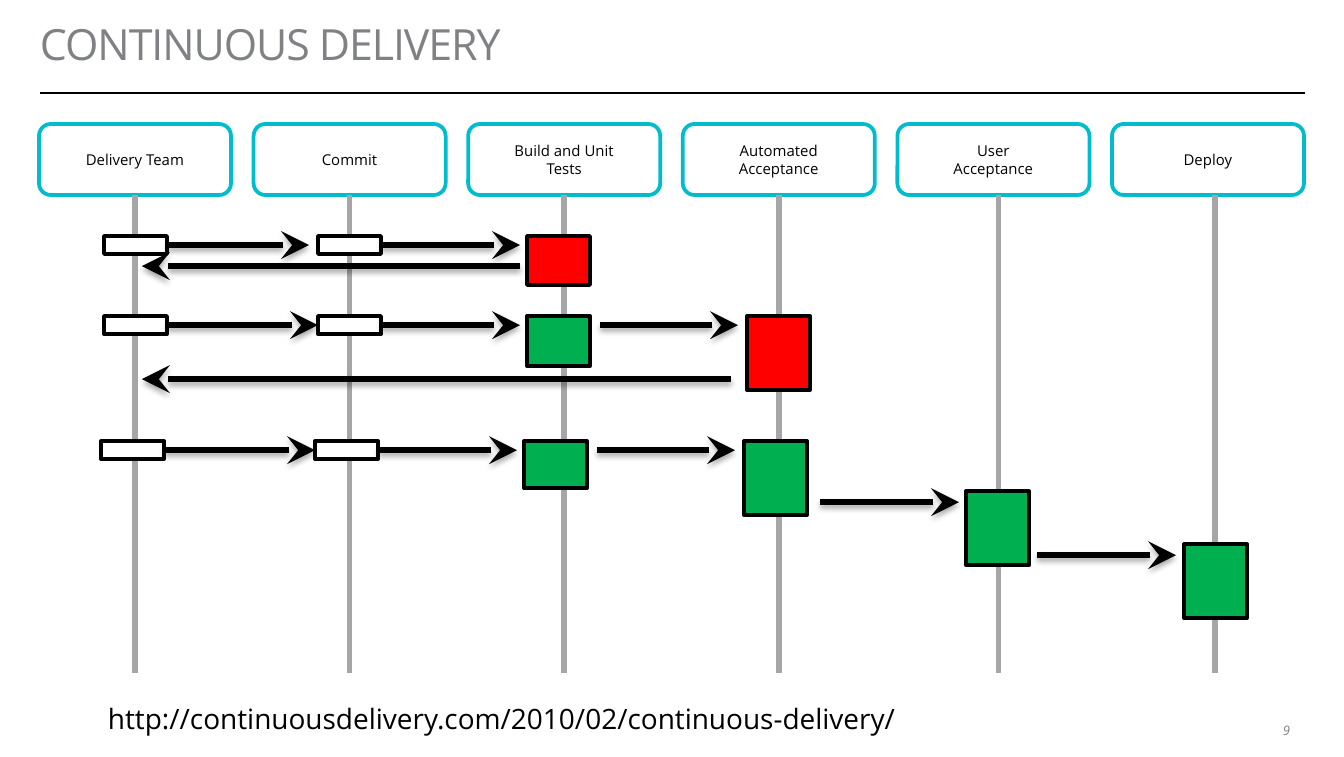
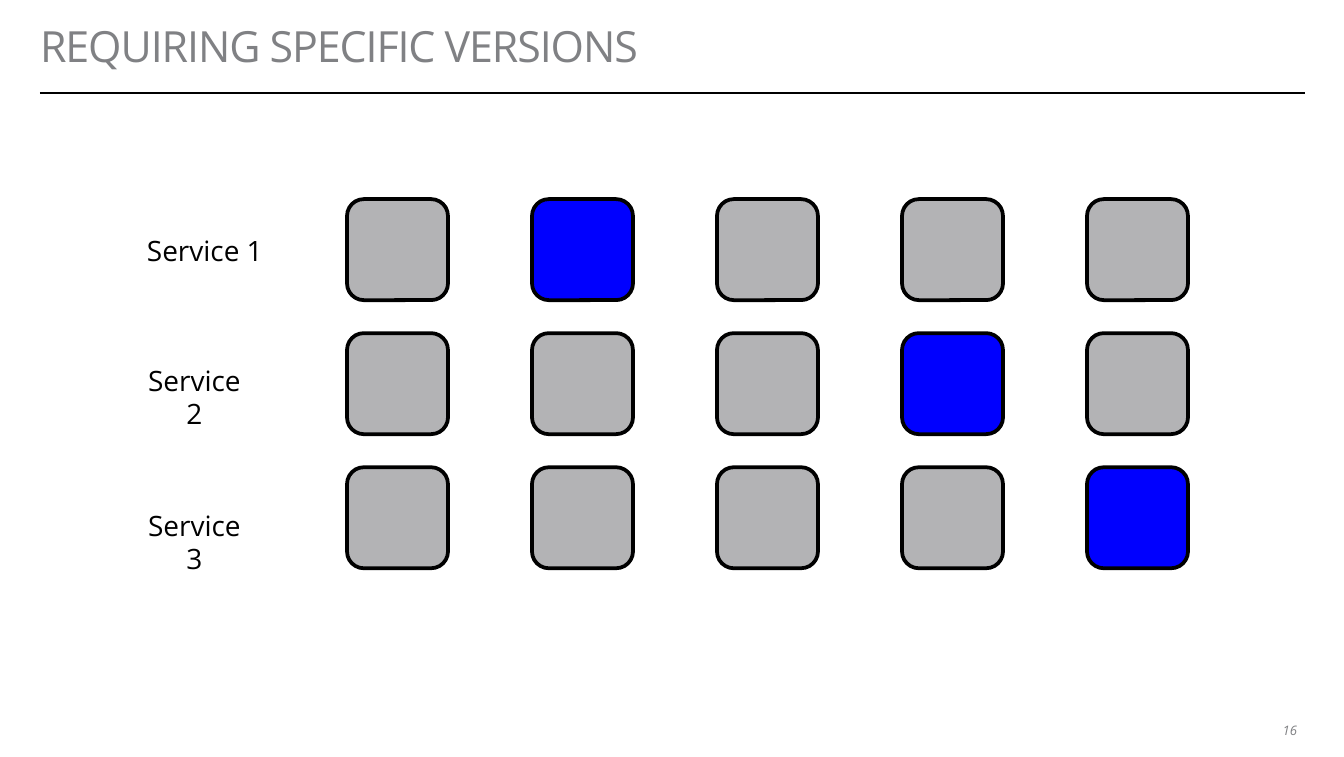
"""Build two slides: a delivery pipeline sequence and a grid of service versions."""
from lxml import etree
from pptx import Presentation
from pptx.dml.color import RGBColor
from pptx.enum.shapes import MSO_CONNECTOR as Connector, MSO_SHAPE as Shape
from pptx.enum.text import MSO_ANCHOR as Anchor, MSO_AUTO_SIZE as AutoSize, PP_ALIGN as Align
from pptx.oxml.ns import qn
from pptx.util import Emu, Inches, Pt

SLIDE_WIDTH, SLIDE_HEIGHT = Inches(10), Inches(5.63)
SCALE = SLIDE_WIDTH / 1344
FONT = "Open Sans"
COLORS = {
    "ink": "000000", "white": "FFFFFF", "title": "808184", "teal": "00BCCD",
    "lifeline": "A6A6A6", "fail": "FF0000", "pass": "00B050",
    "other": "B3B3B5", "required": "0000FF",
}
LINK_INSETS = (8, 4, 8, 4)
NUMBER_INSETS = (0, 4, 8, 4)
TEXT_INSETS = (13, 7, 13, 7)
NARROW_INSETS = (13, 7, 33, 7)
RIGHT, LEFT, BOTTOM = 3, 1, 2

PIPELINE = {"title": "CONTINUOUS DELIVERY", "title_box": (40, 24, 961, 51),
            "number": "9", "number_box": (1277, 718, 21, 20)}
VERSIONS = {"title": "REQUIRING SPECIFIC VERSIONS", "title_box": (40, 24, 1265, 56),
            "number": "16", "number_box": (1277, 718, 28, 23)}

STAGES = [("Delivery Team", 0), ("Commit", 0), ("Build and Unit Tests", 0),
          ("Automated Acceptance", 0), ("User Acceptance", 5), ("Deploy", 7)]
FIRST_STAGE, LAST_STAGE = 39, 1112
STAGE_TOP, STAGE_WIDTH, STAGE_HEIGHT = 124, 192, 71
LIFELINE_END = 673
BAR_WIDTH = 63

BARS = {
    "team 1": (104, 236, 18, "white"), "commit 1": (318, 236, 18, "white"),
    "build 1": (527, 236, 49, "fail"),
    "team 2": (104, 316, 18, "white"), "commit 2": (318, 316, 18, "white"),
    "build 2": (527, 316, 50, "pass"), "automated 2": (747, 316, 74, "fail"),
    "team 3": (101, 441, 18, "white"), "commit 3": (315, 441, 18, "white"),
    "build 3": (524, 441, 47, "pass"), "automated 3": (744, 441, 74, "pass"),
    "user 3": (966, 491, 74, "pass"), "deploy 3": (1184, 544, 74, "pass"),
}
ARROWS = [
    ("team 1", (309, 245)), ("commit 1", (520, 245)), ((520, 266), (142, 266)),
    ("team 2", "commit 2"), ("commit 2", (520, 325)), ((600, 325), (738, 325)),
    ((731, 379), (142, 379)),
    ("team 3", "commit 3"), ("commit 3", (517, 450)), ((597, 450), (735, 450)),
    ((820, 502), (959, 502)), ((1037, 555), (1176, 555)),
]
LINK = "http://continuousdelivery.com/2010/02/continuous-delivery/"

SERVICES = [
    {"label": "Service 1", "box": (134, 226, 202, 47), "align": Align.LEFT,
     "insets": TEXT_INSETS, "required": 1},
    {"label": "Service 2", "box": (134, 356, 141, 47), "align": Align.CENTER,
     "insets": NARROW_INSETS, "required": 3},
    {"label": "Service 3", "box": (134, 501, 141, 47), "align": Align.CENTER,
     "insets": NARROW_INSETS, "required": 4},
]
VERSION_COUNT, VERSION_SIZE = 5, 101
VERSION_LEFT, VERSION_TOP = 347, 199
COLUMN_STEP, ROW_STEP = 185, 134


def px(*lengths):
    return [Emu(round(length * SCALE)) for length in lengths]


def color(name):
    return RGBColor.from_string(COLORS[name])


def write(shape, text, size, align=Align.LEFT, color_name="ink", insets=(0, 0, 0, 0),
          anchor=Anchor.TOP, wrap=True, spacing=None):
    frame = shape.text_frame
    frame.word_wrap = wrap
    frame.vertical_anchor = anchor
    (frame.margin_left, frame.margin_top,
     frame.margin_right, frame.margin_bottom) = px(*insets)
    frame.text = text
    paragraph = frame.paragraphs[0]
    paragraph.alignment = align
    paragraph.line_spacing = spacing
    paragraph.font.name = FONT
    paragraph.font.size = Pt(size)
    paragraph.font.color.rgb = color(color_name)
    return paragraph


def add_text(slide, box, text, size, **style):
    return write(slide.shapes.add_textbox(*px(*box)), text, size, **style)


def add_box(slide, kind, box, fill, line="ink"):
    shape = slide.shapes.add_shape(kind, *px(*box))
    shape.shadow.inherit = False
    shape.fill.solid()
    shape.fill.fore_color.rgb = color(fill)
    shape.line.color.rgb = color(line)
    shape.line.width = Pt(2)
    return shape


def add_line(slide, start, end, width, line="ink"):
    connector = slide.shapes.add_connector(Connector.STRAIGHT, *px(*start, *end))
    connector.line.color.rgb = color(line)
    connector.line.width = Pt(width)
    etree.SubElement(connector._element.spPr, qn("a:effectLst"))
    return connector


def add_arrow(slide, start, end, bars):
    start_point = start if isinstance(start, tuple) else side_middle(start, RIGHT)
    end_point = end if isinstance(end, tuple) else side_middle(end, LEFT)
    arrow = add_line(slide, start_point, end_point, 3)
    if start in bars:
        arrow.begin_connect(bars[start], RIGHT)
    if end in bars:
        arrow.end_connect(bars[end], LEFT)
    properties = arrow._element.spPr
    etree.SubElement(properties.find(qn("a:ln")), qn("a:tailEnd"),
                     type="stealth", w="lg", len="lg")
    shadow = etree.SubElement(properties.find(qn("a:effectLst")), qn("a:outerShdw"),
                              blurRad="40000", dist="23000", dir="5400000", rotWithShape="0")
    shade = etree.SubElement(shadow, qn("a:srgbClr"), val=COLORS["ink"])
    etree.SubElement(shade, qn("a:alpha"), val="35000")


def side_middle(name, side):
    left, top, height, _ = BARS[name]
    return left + (BAR_WIDTH if side == RIGHT else 0), top + height / 2


def add_slide(presentation, page):
    slide = presentation.slides.add_slide(presentation.slide_layouts[6])
    add_line(slide, (40, 93), (1305, 93), 1)
    title = add_text(slide, page["title_box"], page["title"], 23, color_name="title",
                     anchor=Anchor.MIDDLE, spacing=0.7)
    title.runs[0].font._element.set("spc", "-60")
    number = add_text(slide, page["number_box"], page["number"], 7, align=Align.RIGHT,
                      color_name="title", insets=NUMBER_INSETS, wrap=False)
    number.font.italic = True
    return slide


def build_pipeline(presentation):
    slide = add_slide(presentation, PIPELINE)
    step = (LAST_STAGE - FIRST_STAGE) / (len(STAGES) - 1)
    stage_bottom = STAGE_TOP + STAGE_HEIGHT
    for index, (name, lifeline_offset) in enumerate(STAGES):
        left = FIRST_STAGE + index * step
        stage = add_box(slide, Shape.ROUNDED_RECTANGLE,
                        (left, STAGE_TOP, STAGE_WIDTH, STAGE_HEIGHT), "white", "teal")
        write(stage, name, 8, align=Align.CENTER, insets=(42, 22, 42, 22),
              anchor=Anchor.MIDDLE)
        center = left + STAGE_WIDTH / 2 + lifeline_offset
        lifeline = add_line(slide, (center, stage_bottom), (center, LIFELINE_END),
                            3, "lifeline")
        if lifeline_offset == 0:
            lifeline.begin_connect(stage, BOTTOM)
    bars = {name: add_box(slide, Shape.RECTANGLE, (left, top, BAR_WIDTH, height), fill)
            for name, (left, top, height, fill) in BARS.items()}
    for start, end in ARROWS:
        add_arrow(slide, start, end, bars)
    add_text(slide, (45, 701, 914, 39), LINK, 15, align=Align.CENTER,
             insets=LINK_INSETS, spacing=0.9)


def build_versions(presentation):
    slide = add_slide(presentation, VERSIONS)
    for row, service in enumerate(SERVICES):
        for column in range(VERSION_COUNT):
            fill = "required" if column == service["required"] else "other"
            add_box(slide, Shape.ROUNDED_RECTANGLE,
                    (VERSION_LEFT + column * COLUMN_STEP, VERSION_TOP + row * ROW_STEP,
                     VERSION_SIZE, VERSION_SIZE), fill)
        label = slide.shapes.add_textbox(*px(*service["box"]))
        write(label, service["label"], 15, align=service["align"], insets=service["insets"])
        label.text_frame.auto_size = AutoSize.SHAPE_TO_FIT_TEXT


def main():
    presentation = Presentation()
    presentation.slide_width, presentation.slide_height = SLIDE_WIDTH, SLIDE_HEIGHT
    build_pipeline(presentation)
    build_versions(presentation)
    presentation.save("out.pptx")


if __name__ == "__main__":
    main()
